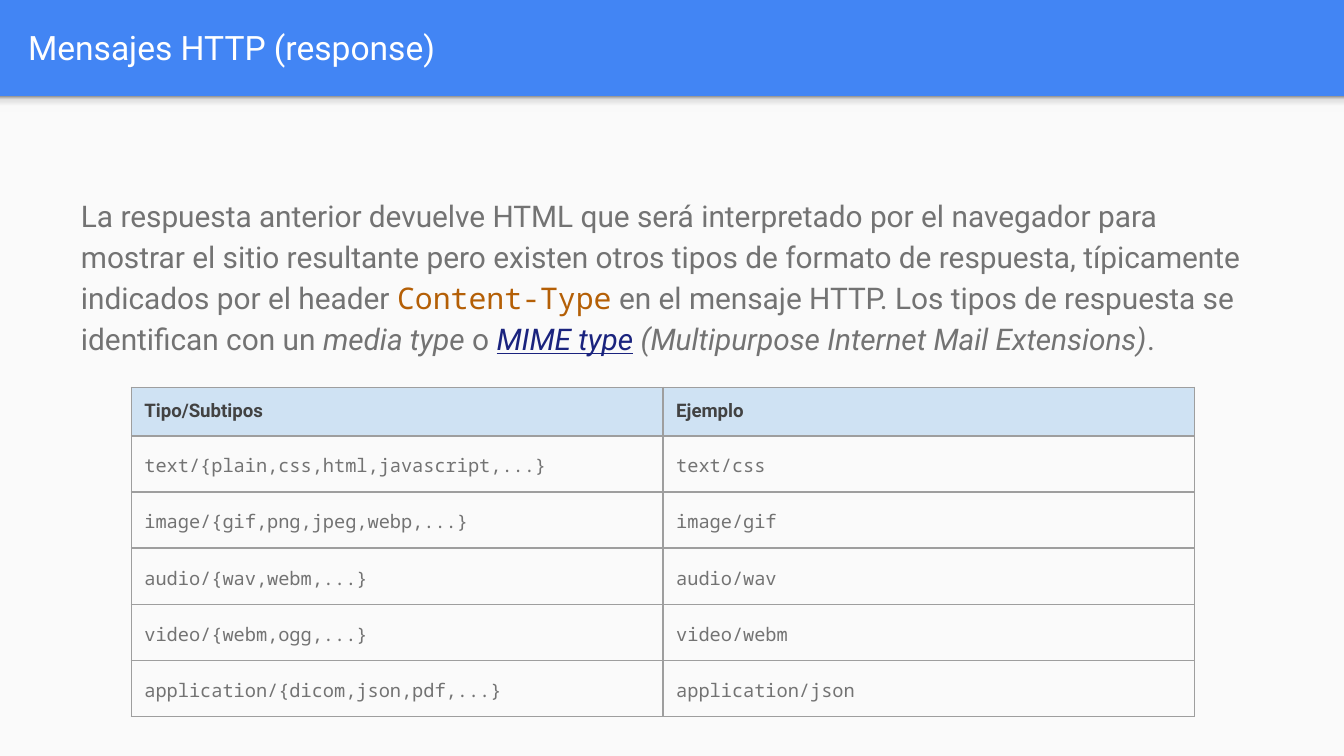
from dataclasses import dataclass
from typing import NamedTuple

from pptx import Presentation
from pptx.dml.color import RGBColor
from pptx.enum.shapes import MSO_SHAPE
from pptx.enum.text import MSO_ANCHOR, MSO_AUTO_SIZE, PP_ALIGN
from pptx.oxml import parse_xml
from pptx.util import Cm, Pt

RECTANGLE = MSO_SHAPE.RECTANGLE
MIDDLE, TOP = MSO_ANCHOR.MIDDLE, MSO_ANCHOR.TOP
LEFT = PP_ALIGN.LEFT
NO_AUTOFIT = MSO_AUTO_SIZE.NONE
NS = 'xmlns:a="http://schemas.openxmlformats.org/drawingml/2006/main"'


@dataclass(frozen=True)
class Theme:
    header: str = "4285F4"
    panel: str = "FAFAFA"
    title: str = "FFFFFF"
    text: str = "737373"
    code: str = "B45F06"
    link: str = "1A237E"
    table_head: str = "CFE2F3"
    table_head_text: str = "424242"
    border: str = "9E9E9E"
    sans: str = "Roboto"
    mono: str = "Noto Sans Mono"
    title_size: int = 18
    body_size: int = 16
    table_size: int = 10
    border_width: float = 0.75


class Box(NamedTuple):
    left: float
    top: float
    width: float
    height: float

    def lengths(self) -> list:
        return [Cm(value) for value in self]


class Media(NamedTuple):
    subtypes: str
    example: str


THEME = Theme()
SLIDE_WIDTH, SLIDE_HEIGHT, HEADER_HEIGHT = 25.4, 14.29, 1.82
INSET = 0.25
HEAD_ROW, MEDIA_ROW, COLUMN = 0.92, 1.06, 10.05

PANEL = Box(0, HEADER_HEIGHT, SLIDE_WIDTH, SLIDE_HEIGHT - HEADER_HEIGHT)
HEADER_SHADE = Box(0, HEADER_HEIGHT, SLIDE_WIDTH, 0.3)
SHADE_STOPS = [(0, "F9F9F9"), (36, "F9F9F9"), (80, "DEDEDE"), (100, "999999")]
TITLE = Box(0.28, 0.05, 24.51, 1.68)
BODY = Box(1.28, 3.38, 22.83, 7.52)
TABLE_LEFT, TABLE_TOP = 2.48, 7.32

EXPLANATION = [
    ("La respuesta anterior devuelve HTML que será interpretado por el navegador "
     "para mostrar el sitio resultante pero existen otros tipos de formato de "
     "respuesta, típicamente indicados por el header ", {}),
    ("Content-Type", {"font": THEME.mono, "color": THEME.code}),
    (" en el mensaje HTTP. Los tipos de respuesta se identifican con un ", {}),
    ("media type", {"italic": True}),
    (" o ", {}),
    ("MIME type", {"color": THEME.link, "italic": True, "underline": True}),
    (" ", {}),
    ("(Multipurpose Internet Mail Extensions)", {"italic": True}),
    (".", {}),
]
HEADINGS = Media("Tipo/Subtipos", "Ejemplo")
MEDIA_TYPES = [
    Media("text/{plain,css,html,javascript,...}", "text/css"),
    Media("image/{gif,png,jpeg,webp,...}", "image/gif"),
    Media("audio/{wav,webm,...}", "audio/wav"),
    Media("video/{webm,ogg,...}", "video/webm"),
    Media("application/{dicom,json,pdf,...}", "application/json"),
]


def write(paragraph, text: str, *, size: float, color: str = THEME.text,
          font: str = THEME.sans, bold: bool = False, italic: bool = False,
          underline: bool = False) -> None:
    run = paragraph.add_run()
    run.text = text
    style = run.font
    style.name, style.size = font, Pt(size)
    style.color.rgb = RGBColor.from_string(color)
    style.bold, style.italic, style.underline = bold, italic, underline


def space_body(paragraph) -> None:
    paragraph.line_spacing = 1.15
    paragraph.space_before = Pt(0)
    paragraph.space_after = Pt(12)


def set_insets(frame) -> None:
    """Give a text frame or a table cell the same margin on every side."""
    frame.margin_left = frame.margin_right = Cm(INSET)
    frame.margin_top = frame.margin_bottom = Cm(INSET)


def prepare_placeholder(placeholder, box: Box, anchor):
    """Place a placeholder and return its first paragraph."""
    (placeholder.left, placeholder.top,
     placeholder.width, placeholder.height) = box.lengths()
    frame = placeholder.text_frame
    frame.auto_size, frame.word_wrap = NO_AUTOFIT, True
    frame.vertical_anchor = anchor
    set_insets(frame)
    paragraph = frame.paragraphs[0]
    paragraph.alignment = LEFT
    return paragraph


def add_backdrop(slide, box: Box, layer: int):
    """Add a borderless rectangle behind the placeholders."""
    backdrop = slide.shapes.add_shape(RECTANGLE, *box.lengths())
    backdrop.shadow.inherit = False
    backdrop.line.fill.background()
    slide.shapes._spTree.insert(2 + layer, backdrop._element)
    return backdrop


def shade_upward(shape, stops: list) -> None:
    marks = "".join(f'<a:gs pos="{percent * 1000}"><a:srgbClr val="{color}"/></a:gs>'
                    for percent, color in stops)
    shape._element.spPr.insert(2, parse_xml(
        f'<a:gradFill {NS} rotWithShape="1"><a:gsLst>{marks}</a:gsLst>'
        '<a:lin ang="16200000" scaled="0"/></a:gradFill>'))


def add_borders(cell) -> None:
    properties = cell._tc.get_or_add_tcPr()
    for position, side in enumerate(("lnL", "lnR", "lnT", "lnB")):
        properties.insert(position, parse_xml(
            f'<a:{side} {NS} w="{Pt(THEME.border_width)}"><a:solidFill>'
            f'<a:srgbClr val="{THEME.border}"/></a:solidFill></a:{side}>'))


def add_media_table(slide) -> None:
    rows = [HEADINGS, *MEDIA_TYPES]
    height = HEAD_ROW + MEDIA_ROW * len(MEDIA_TYPES)
    box = Box(TABLE_LEFT, TABLE_TOP, COLUMN * len(HEADINGS), height)
    table = slide.shapes.add_table(len(rows), len(HEADINGS), *box.lengths()).table
    table.first_row = table.horz_banding = False
    for row_index, media in enumerate(rows):
        is_head = row_index == 0
        table.rows[row_index].height = Cm(HEAD_ROW if is_head else MEDIA_ROW)
        for column_index, text in enumerate(media):
            cell = table.cell(row_index, column_index)
            set_insets(cell)
            paragraph = cell.text_frame.paragraphs[0]
            if is_head:
                cell.fill.solid()
                cell.fill.fore_color.rgb = RGBColor.from_string(THEME.table_head)
                write(paragraph, text, size=THEME.table_size,
                      color=THEME.table_head_text, bold=True)
            else:
                cell.fill.background()
                space_body(paragraph)
                write(paragraph, text, size=THEME.table_size, font=THEME.mono)
            add_borders(cell)


def main() -> None:
    deck = Presentation()
    deck.slide_width, deck.slide_height = Cm(SLIDE_WIDTH), Cm(SLIDE_HEIGHT)
    slide = deck.slides.add_slide(deck.slide_layouts[1])

    # Blue header, light panel and the shade below the header
    slide.background.fill.solid()
    slide.background.fill.fore_color.rgb = RGBColor.from_string(THEME.header)
    panel = add_backdrop(slide, PANEL, 0)
    panel.fill.solid()
    panel.fill.fore_color.rgb = RGBColor.from_string(THEME.panel)
    shade_upward(add_backdrop(slide, HEADER_SHADE, 1), SHADE_STOPS)

    # Title
    title = prepare_placeholder(slide.shapes.title, TITLE, MIDDLE)
    write(title, "Mensajes HTTP (response)", size=THEME.title_size, color=THEME.title)

    # Explanation, without the bullet of the template
    explanation = prepare_placeholder(slide.placeholders[1], BODY, TOP)
    space_body(explanation)
    properties = explanation._p.get_or_add_pPr()
    properties.set("marL", "0")
    properties.set("indent", "0")
    properties.append(parse_xml(f"<a:buNone {NS}/>"))
    for text, text_format in EXPLANATION:
        write(explanation, text, size=THEME.body_size, **text_format)

    # Media types
    add_media_table(slide)
    deck.save("out.pptx")


if __name__ == "__main__":
    main()
